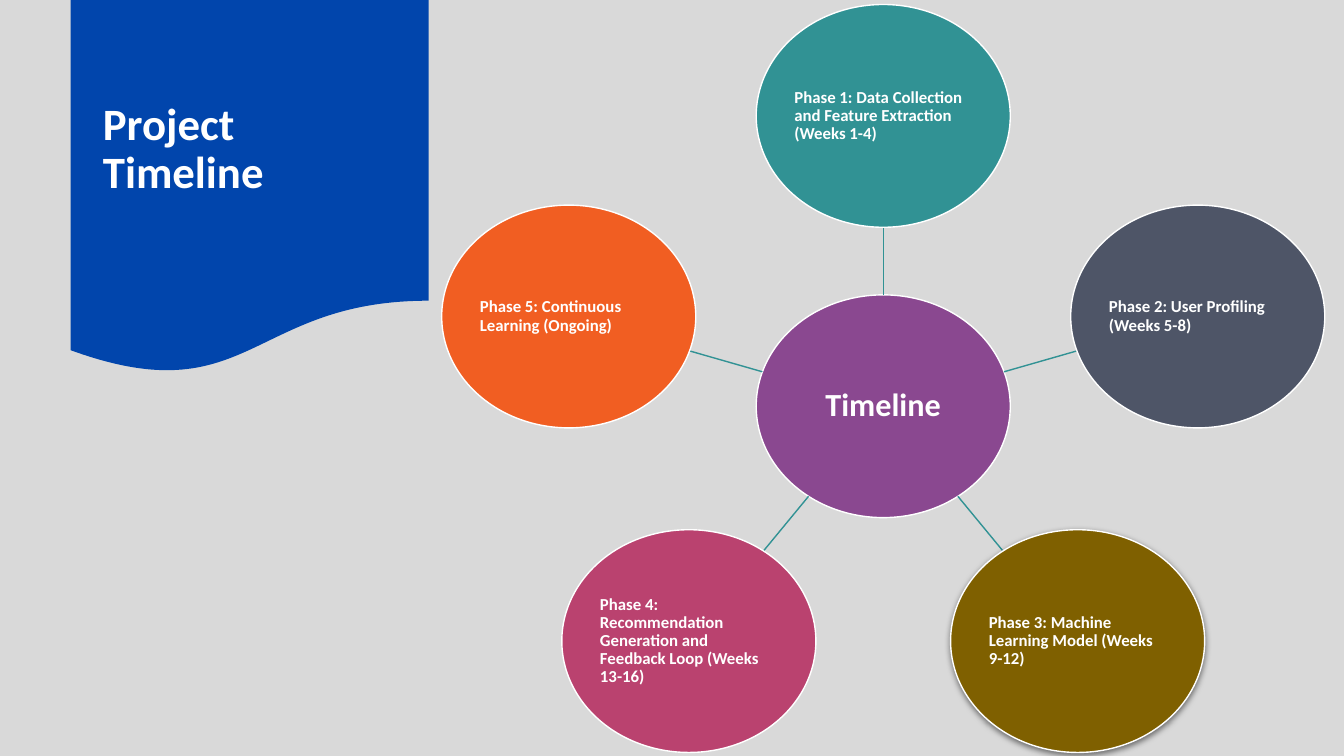
from math import cos, radians, sin

from lxml.etree import SubElement
from pptx import Presentation
from pptx.dml.color import RGBColor
from pptx.enum.shapes import MSO_CONNECTOR, MSO_SHAPE
from pptx.enum.text import MSO_ANCHOR, MSO_AUTO_SIZE, PP_ALIGN
from pptx.oxml.ns import qn
from pptx.util import Inches, Pt

SLIDE_WIDTH, SLIDE_HEIGHT = 13.33, 7.5
CENTER_X, CENTER_Y = 8.76, 4.03
ORBIT_X, ORBIT_Y = 3.28, 2.88
RADIUS_X, RADIUS_Y = 1.26, 1.105
FONT = "Calibri"
WHITE, GRAY, BLUE, TEAL, PURPLE = "FFFFFF", "D9D9D9", "0145AC", "319294", "8A4890"

PHASES = [
    ("Phase 1: Data Collection and Feature Extraction (Weeks 1-4)", TEAL),
    ("Phase 2: User Profiling (Weeks 5-8)", "4E5567"),
    ("Phase 3: Machine Learning Model (Weeks 9-12)", "7F6000"),
    ("Phase 4: Recommendation Generation and Feedback Loop (Weeks 13-16)", "BA426F"),
    ("Phase 5: Continuous Learning (Ongoing)", "F15E22"),
]
SHADOWED_PHASE = 2


def paint(color_format, color):
    color_format.rgb = RGBColor.from_string(color)


def write_text(shape, text, size, align=PP_ALIGN.LEFT, inset_x=0.01, inset_y=0.01):
    frame = shape.text_frame
    frame.word_wrap = True
    frame.auto_size = MSO_AUTO_SIZE.NONE
    frame.vertical_anchor = MSO_ANCHOR.MIDDLE
    frame.margin_left = frame.margin_right = Inches(inset_x)
    frame.margin_top = frame.margin_bottom = Inches(inset_y)
    paragraph = frame.paragraphs[0]
    paragraph.alignment = align
    paragraph.line_spacing = 0.9
    paragraph.space_before = Pt(0)
    run = paragraph.add_run()
    run.text = text
    run.font.name = FONT
    run.font.size = Pt(size)
    run.font.bold = True
    paint(run.font.color, WHITE)


def add_filled_shape(slide, kind, left, top, width, height, fill, line=None):
    shape = slide.shapes.add_shape(
        kind, Inches(left), Inches(top), Inches(width), Inches(height)
    )
    shape.shadow.inherit = False
    shape.fill.solid()
    paint(shape.fill.fore_color, fill)
    if line:
        paint(shape.line.color, line)
        shape.line.width = Pt(1)
    else:
        shape.line.fill.background()
    return shape


def add_circle(slide, x, y, fill):
    return add_filled_shape(
        slide, MSO_SHAPE.OVAL, x - RADIUS_X, y - RADIUS_Y,
        2 * RADIUS_X, 2 * RADIUS_Y, fill, line=WHITE,
    )


def add_soft_shadow(shape):
    effects = shape._element.spPr.find(qn("a:effectLst"))
    shadow = SubElement(
        effects, qn("a:outerShdw"), blurRad=str(Pt(4.5)), dist=str(Pt(1.5)),
        dir="5400000", algn="ctr", rotWithShape="0",
    )
    color = SubElement(shadow, qn("a:srgbClr"), val="000000")
    SubElement(color, qn("a:alpha"), val="50000")


def add_spoke(slide, start_x, start_y, end_x, end_y):
    spoke = slide.shapes.add_connector(
        MSO_CONNECTOR.STRAIGHT,
        Inches(start_x), Inches(start_y), Inches(end_x), Inches(end_y),
    )
    paint(spoke.line.color, TEAL)
    spoke.line.width = Pt(1)
    SubElement(spoke._element.spPr, qn("a:effectLst"))


def add_title(slide, text):
    add_filled_shape(
        slide, MSO_SHAPE.FLOWCHART_DOCUMENT, 0.7, 0, 3.55, 3.72, BLUE
    )
    title = slide.shapes.title
    title.left, title.top = Inches(0.92), Inches(0.19)
    title.width, title.height = Inches(3.11), Inches(2.59)
    write_text(title, text, 32, inset_x=0.1, inset_y=0.05)
    slide.shapes._spTree.append(title._element)


def add_phase_wheel(slide):
    hub = add_circle(slide, CENTER_X, CENTER_Y, PURPLE)
    write_text(hub, "Timeline", 23, align=PP_ALIGN.CENTER, inset_x=0.02, inset_y=0.02)
    for index, (text, color) in enumerate(PHASES):
        angle = radians(360 / len(PHASES) * index - 90)
        x = CENTER_X + ORBIT_X * cos(angle)
        y = CENTER_Y + ORBIT_Y * sin(angle)
        edge_x, edge_y = RADIUS_X * cos(angle), RADIUS_Y * sin(angle)
        add_spoke(slide, CENTER_X + edge_x, CENTER_Y + edge_y, x - edge_x, y - edge_y)
        circle = add_circle(slide, x, y, color)
        write_text(circle, text, 12)
        if index == SHADOWED_PHASE:
            add_soft_shadow(circle)


def main():
    presentation = Presentation()
    presentation.slide_width = Inches(SLIDE_WIDTH)
    presentation.slide_height = Inches(SLIDE_HEIGHT)
    slide = presentation.slides.add_slide(presentation.slide_layouts[5])
    slide.background.fill.solid()
    paint(slide.background.fill.fore_color, GRAY)
    add_title(slide, "Project Timeline")
    add_phase_wheel(slide)
    presentation.save("out.pptx")


if __name__ == "__main__":
    main()
